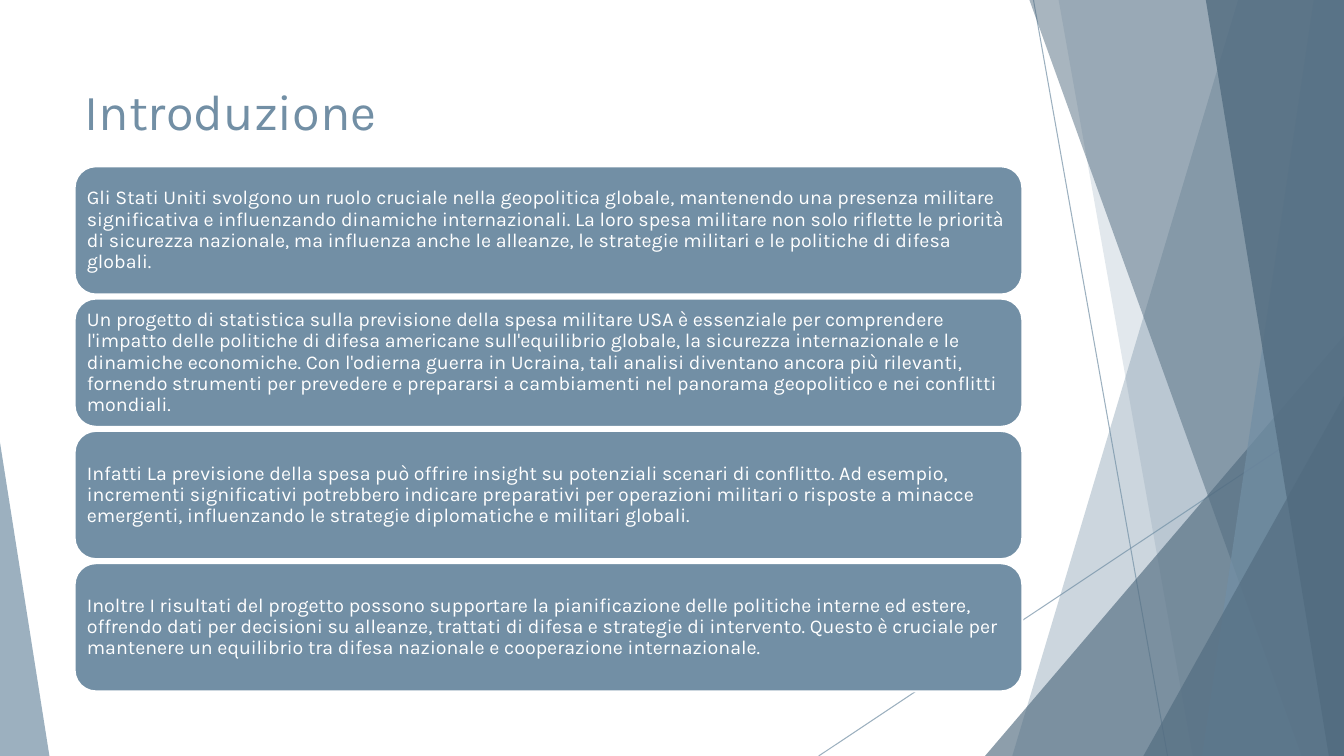
from lxml import etree
from pptx import Presentation
from pptx.dml.color import RGBColor
from pptx.enum.shapes import MSO_CONNECTOR, MSO_SHAPE
from pptx.enum.text import MSO_ANCHOR, PP_ALIGN
from pptx.oxml.ns import qn
from pptx.util import Inches, Pt

LINE = MSO_CONNECTOR.STRAIGHT
TRI = MSO_SHAPE.ISOSCELES_TRIANGLE
ROUND = MSO_SHAPE.ROUNDED_RECTANGLE
MIDDLE = MSO_ANCHOR.MIDDLE
LEFT = PP_ALIGN.LEFT

WIDE, HIGH = 13.33, 7.5
BLUE, DARK, WHITE = "728FA5", "526C80", "FFFFFF"
FONT = "Karla"

RAYS = [((10.25, 0), (11.58, 7.5)), ((13.33, 4.03), (8.12, 7.5))]
BACK = [(12.28, 10.04, BLUE, 36), (10.5, 11.83, BLUE, 20)]
FRONT = [(10.21, 12.91, DARK, 50), (13.03, 11.92, BLUE, 70),
         (11.96, 13.18, DARK, 80)]

POINTS = [
    "Gli Stati Uniti svolgono un ruolo cruciale nella geopolitica globale, "
    "mantenendo una presenza militare significativa e influenzando dinamiche "
    "internazionali. La loro spesa militare non solo riflette le priorità di "
    "sicurezza nazionale, ma influenza anche le alleanze, le strategie militari "
    "e le politiche di difesa globali.",
    "Un progetto di statistica sulla previsione della spesa militare USA è "
    "essenziale per comprendere l'impatto delle politiche di difesa americane "
    "sull'equilibrio globale, la sicurezza internazionale e le dinamiche "
    "economiche. Con l'odierna guerra in Ucraina, tali analisi diventano ancora "
    "più rilevanti, fornendo strumenti per prevedere e prepararsi a cambiamenti "
    "nel panorama geopolitico e nei conflitti mondiali.",
    "Infatti La previsione della spesa può offrire insight su potenziali scenari "
    "di conflitto. Ad esempio, incrementi significativi potrebbero indicare "
    "preparativi per operazioni militari o risposte a minacce emergenti, "
    "influenzando le strategie diplomatiche e militari globali.",
    "Inoltre I risultati del progetto possono supportare la pianificazione delle "
    "politiche interne ed estere, offrendo dati per decisioni su alleanze, "
    "trattati di difesa e strategie di intervento. Questo è cruciale per "
    "mantenere un equilibrio tra difesa nazionale e cooperazione internazionale.",
]


def paint(fill, color, alpha=100):
    """Give a fill a solid colour and an opacity in percent."""
    fill.solid()
    fill.fore_color.rgb = RGBColor.from_string(color)
    if alpha < 100:
        tone = fill._xPr.find(qn("a:solidFill"))[0]
        etree.SubElement(tone, qn("a:alpha")).set("val", str(alpha * 1000))


def put(item, values):
    """Set the attributes of an item from a dict."""
    for name, value in values.items():
        setattr(item, name, value)


def write(shape, text, size, color, inset, space):
    """Write one left-aligned paragraph in the middle of a shape."""
    frame = shape.text_frame
    put(frame, {"word_wrap": True, "vertical_anchor": MIDDLE,
                "margin_left": inset, "margin_right": inset,
                "margin_top": inset, "margin_bottom": inset})
    para = frame.paragraphs[0]
    put(para, {"text": text, "alignment": LEFT, "line_spacing": space})
    put(para.font, {"name": FONT, "size": Pt(size)})
    paint(para.font.fill, color)


def ray(shapes, start, end):
    """Draw a thin translucent line between two points."""
    line = shapes.add_connector(LINE, *map(Inches, start + end))
    line.line.width = Pt(0.75)
    paint(line.line.fill, BLUE, 70)
    etree.SubElement(line._element.spPr, qn("a:effectLst"))


def slat(shapes, top, foot, color, alpha):
    """Draw a full-height slat from its slanted edge to the right side."""
    form = shapes.build_freeform(Inches(top), 0, scale=1.0)
    corners = [(WIDE, 0), (WIDE, HIGH), (foot, HIGH)]
    form.add_line_segments([(Inches(x), Inches(y)) for x, y in corners])
    shape = form.convert_to_shape()
    shape.shadow.inherit = False
    paint(shape.fill, color, alpha)
    shape.line.fill.background()


def wedge(shapes, left, top, width, tip, color, alpha):
    """Draw a right triangle that stands on the bottom edge."""
    box = map(Inches, (left, top, width, HIGH - top))
    shape = shapes.add_shape(TRI, *box)
    shape.adjustments[0] = tip
    shape.shadow.inherit = False
    paint(shape.fill, color, alpha)
    shape.line.fill.background()


def decor(shapes):
    """Draw the layered rays, slats and wedges at the slide edges."""
    for start, end in RAYS:
        ray(shapes, start, end)
    for row in BACK:
        slat(shapes, *row)
    wedge(shapes, 9.77, 3.33, 3.56, 1, DARK, 66)
    for row in FRONT:
        slat(shapes, *row)
    wedge(shapes, 11.34, 3.93, 1.99, 1, DARK, 66)
    wedge(shapes, 0, 4.39, 0.49, 0, BLUE, 70)


def title(shapes, left, top, width, height):
    """Place the heading in its box."""
    box = shapes.add_textbox(*map(Inches, (left, top, width, height)))
    write(box, "Introduzione", 36, BLUE, Inches(0.1), 1.0)


def cards(shapes, left, top, width, height, gap=0.04):
    """Stack one rounded card per point evenly in the box."""
    step = (height + gap) / len(POINTS)
    for i, text in enumerate(POINTS):
        box = map(Inches, (left, top + i * step, width, step - gap))
        card = shapes.add_shape(ROUND, *box)
        card.shadow.inherit = False
        paint(card.fill, BLUE)
        paint(card.line.fill, WHITE)
        card.line.width = Pt(1.5)
        write(card, text, 14, WHITE, Inches(0.06), 0.9)


def main():
    """Build and save the slide."""
    deck = Presentation()
    put(deck, {"slide_width": Inches(WIDE), "slide_height": Inches(HIGH)})
    shapes = deck.slides.add_slide(deck.slide_layouts[6]).shapes
    decor(shapes)
    title(shapes, 0.74, 0.67, 9.4, 0.85)
    cards(shapes, 0.74, 1.65, 9.4, 5.21)
    deck.save("out.pptx")


if __name__ == "__main__":
    main()
